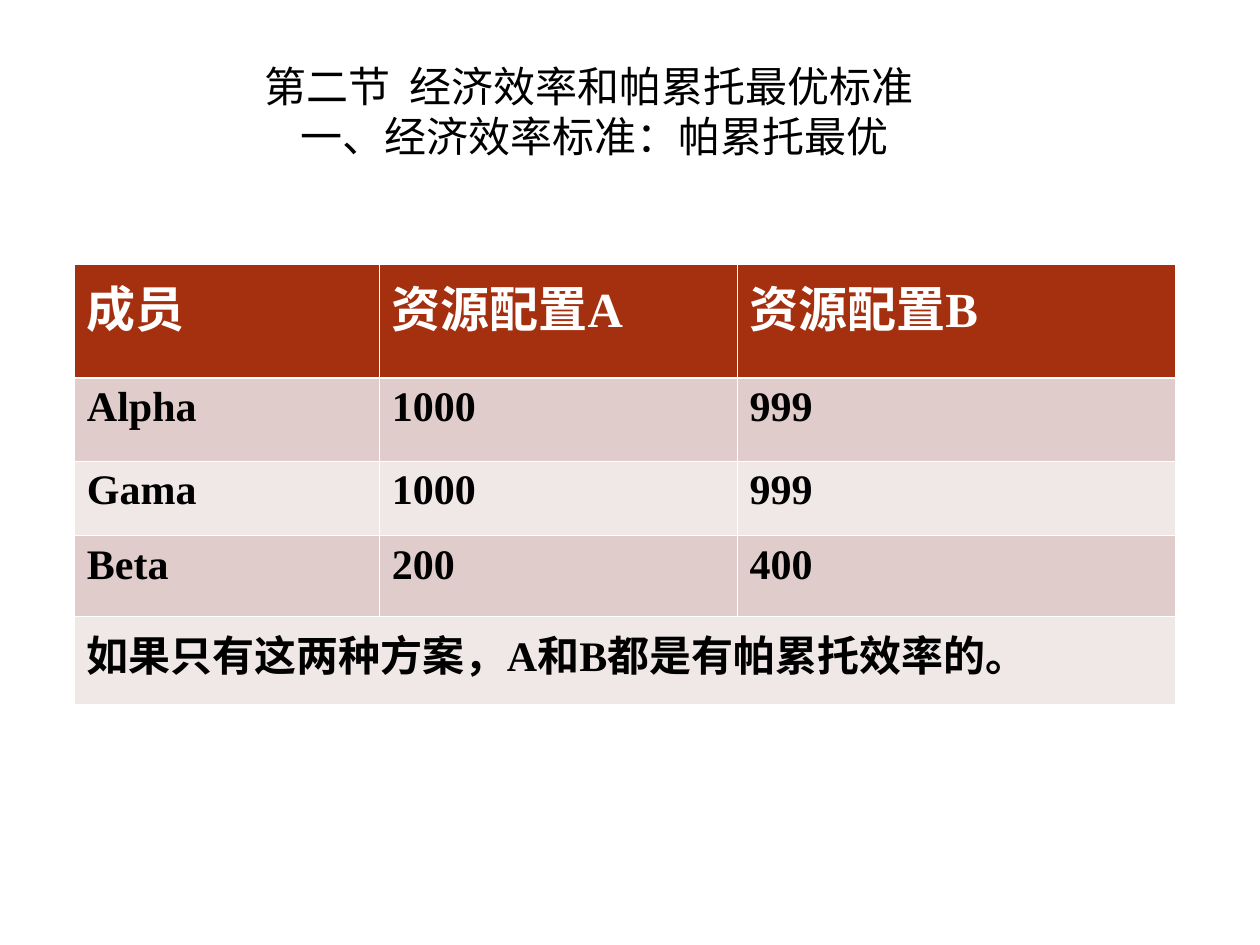
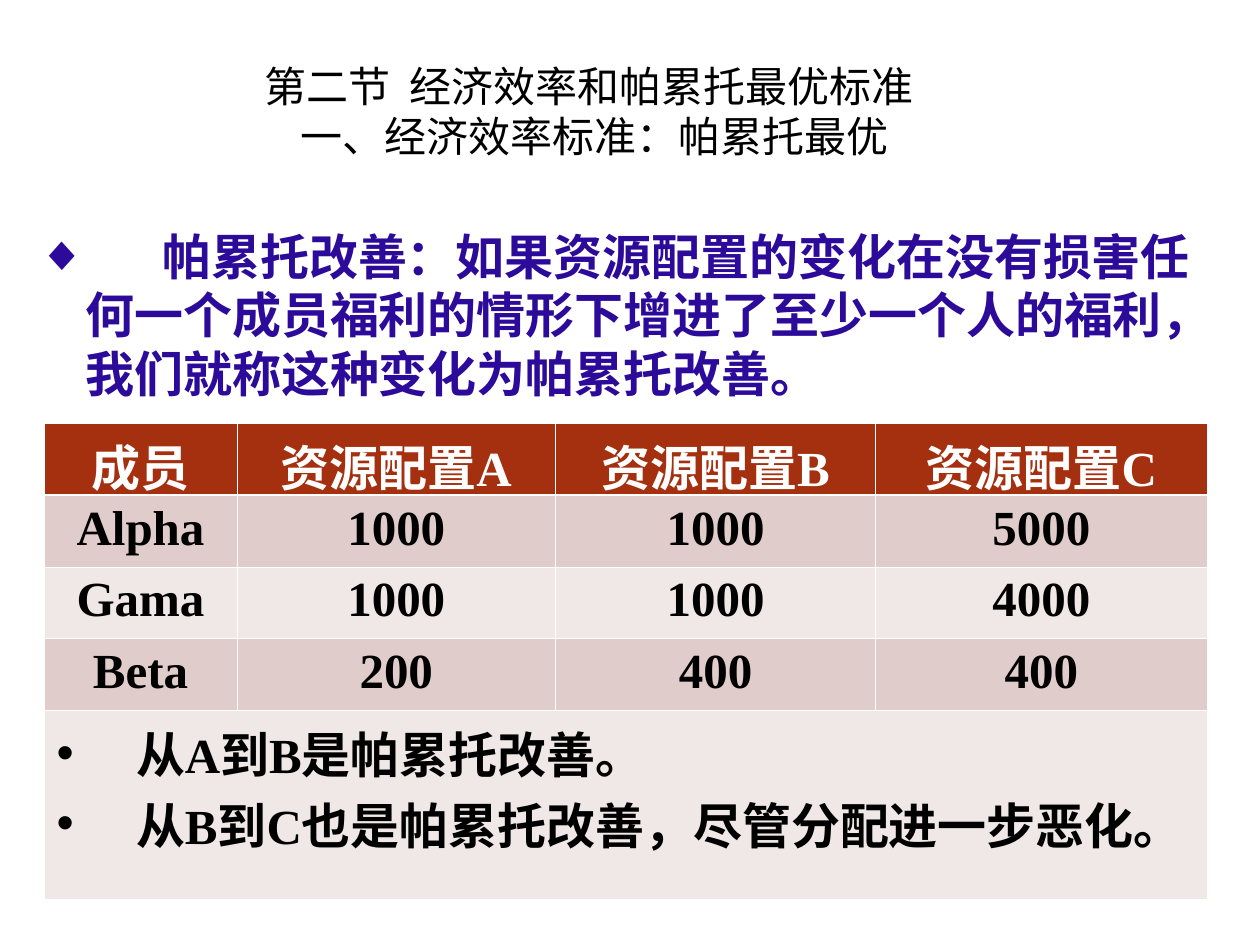
"""Builds two slides on Pareto efficiency: a title and an allocation table each."""
from lxml import etree
from pptx import Presentation, util as u
from pptx.dml.color import RGBColor
from pptx.enum import text as t
from pptx.oxml import ns

TITLE = [("第二节  经济效率和帕累托最优标准", 1.5), ("一、经济效率标准：帕累托最优", 1.79)]
DEFINITION = ("\t帕累托改善：如果资源配置的变化在没有损害任何一个成员福利的情形下"
              "增进了至少一个人的福利，我们就称这种变化为帕累托改善。")
SLIDES = [
    dict(at=(0.59, 2.1), columns=[2.42, 2.84, 3.48], heights=[0.9, 0.66, 0.59, 0.64, 0.7],
         rows=[["成员", "资源配置A", "资源配置B"],
               ["Alpha", "1000", "999"],
               ["Gama", "1000", "999"],
               ["Beta", "200", "400"]],
         conclusions=["如果只有这两种方案，A和B都是有帕累托效率的。"],
         size=24, align="LEFT", bullet={}),
    dict(at=(0.35, 3.36), columns=[1.53, 2.53, 2.54, 2.63], heights=[0.57] * 4 + [1.5],
         rows=[["成员", "资源配置A", "资源配置B", "资源配置C"],
               ["Alpha", "1000", "1000", "5000"],
               ["Gama", "1000", "1000", "4000"],
               ["Beta", "200", "400", "400"]],
         conclusions=["从A到B是帕累托改善。", "从B到C也是帕累托改善，尽管分配进一步恶化。"],
         size=28, align="CENTER", bullet=dict(bullet="•", margin=0.63, hanging=0.63),
         definition=DEFINITION),
]
WHITE, BLACK, VIOLET = "FFFFFF", "000000", "2C0A9A"
HEADER, BANDS = "A53010", ("F0E7E7", "E0CCCB")
CJK = "Noto Sans CJK SC"


def rgb(value):
    return RGBColor.from_string(value)


def add_child(parent, tag, **attributes):
    return etree.SubElement(parent, ns.qn("a:" + tag), attributes)


def write(frame, content, first=True, size=24, color=BLACK, font="Times New Roman", bold=True,
          align="LEFT", margin=0, hanging=0, bullet=None, tab=None, spacing=None):
    paragraph = frame.paragraphs[0] if first else frame.add_paragraph()
    props = paragraph._p.get_or_add_pPr()
    props.set("marL", str(u.Inches(margin)))
    props.set("indent", str(-u.Inches(hanging)))
    if bullet:
        add_child(add_child(props, "buClr"), "srgbClr", val=color)
        add_child(props, "buFont", typeface="Arial")
        add_child(props, "buChar", char=bullet)
    if tab:
        add_child(add_child(props, "tabLst"), "tab", pos=str(u.Inches(tab)), algn="l")
    paragraph.alignment = getattr(t.PP_ALIGN, align)
    if spacing:
        paragraph.line_spacing = u.Pt(spacing)
    run = paragraph.add_run()
    run.text = content
    run.font.size, run.font.bold, run.font.name = u.Pt(size), bold, font
    run.font.color.rgb = rgb(color)
    add_child(run.font._element, "ea", typeface=CJK)


def add_box(slide, *place, top_inset, anchor):
    frame = slide.shapes.add_textbox(*map(u.Inches, place)).text_frame
    frame.word_wrap = True
    frame.margin_top = u.Inches(top_inset)
    frame.vertical_anchor = anchor
    return frame


def style_cell(cell, fill, top, bottom):
    props = cell._tc.get_or_add_tcPr()
    for side, width in (("lnL", 0.45), ("lnR", 0.45), ("lnT", top), ("lnB", bottom)):
        line = add_child(props, side, w=str(u.Pt(width)))
        add_child(add_child(line, "solidFill"), "srgbClr", val=WHITE)
    cell.fill.solid()
    cell.fill.fore_color.rgb = rgb(fill)


def add_allocations(slide, at, columns, heights, rows, conclusions, size, align, bullet):
    place = map(u.Inches, (*at, sum(columns), sum(heights)))
    table = slide.shapes.add_table(len(heights), len(columns), *place).table
    for column, width in zip(table.columns, columns):
        column.width = u.Inches(width)
    for r, height in enumerate(heights):
        table.rows[r].height = u.Inches(height)
        for c in range(len(columns)):
            style_cell(table.cell(r, c), BANDS[r % 2] if r else HEADER,
                       top=1.47 if r == 1 else 0.45, bottom=0.45 if r else 1.47)
    for r, row in enumerate(rows):
        for c, value in enumerate(row):
            write(table.cell(r, c).text_frame, value, size=size if r else 28,
                  color=BLACK if r else WHITE, align=align)
    last = len(rows)
    table.cell(last, 0).merge(table.cell(last, len(columns) - 1))
    for i, conclusion in enumerate(conclusions):
        write(table.cell(last, 0).text_frame, conclusion, first=i == 0, size=size, **bullet)


def build_slide(deck, definition=None, **allocations):
    slide = deck.slides.add_slide(deck.slide_layouts[6])
    heading = add_box(slide, 0.5, 0.36, 9, 0.94, top_inset=0.15, anchor=t.MSO_ANCHOR.MIDDLE)
    for i, (line, margin) in enumerate(TITLE):
        write(heading, line, first=i == 0, font=CJK, bold=False, margin=margin, spacing=28.6)
    add_allocations(slide, **allocations)
    if definition:
        frame = add_box(slide, 0.2, 1.7, 9.53, 1.57, top_inset=0.1, anchor=t.MSO_ANCHOR.TOP)
        write(frame, definition, size=28, color=VIOLET, font="Arial", margin=0.38,
              hanging=0.38, bullet="◆", tab=0.99, spacing=33.4)


def main():
    deck = Presentation()
    deck.slide_width, deck.slide_height = u.Inches(10), u.Inches(7.5)
    for content in SLIDES:
        build_slide(deck, **content)
    deck.save("out.pptx")


if __name__ == "__main__":
    main()
